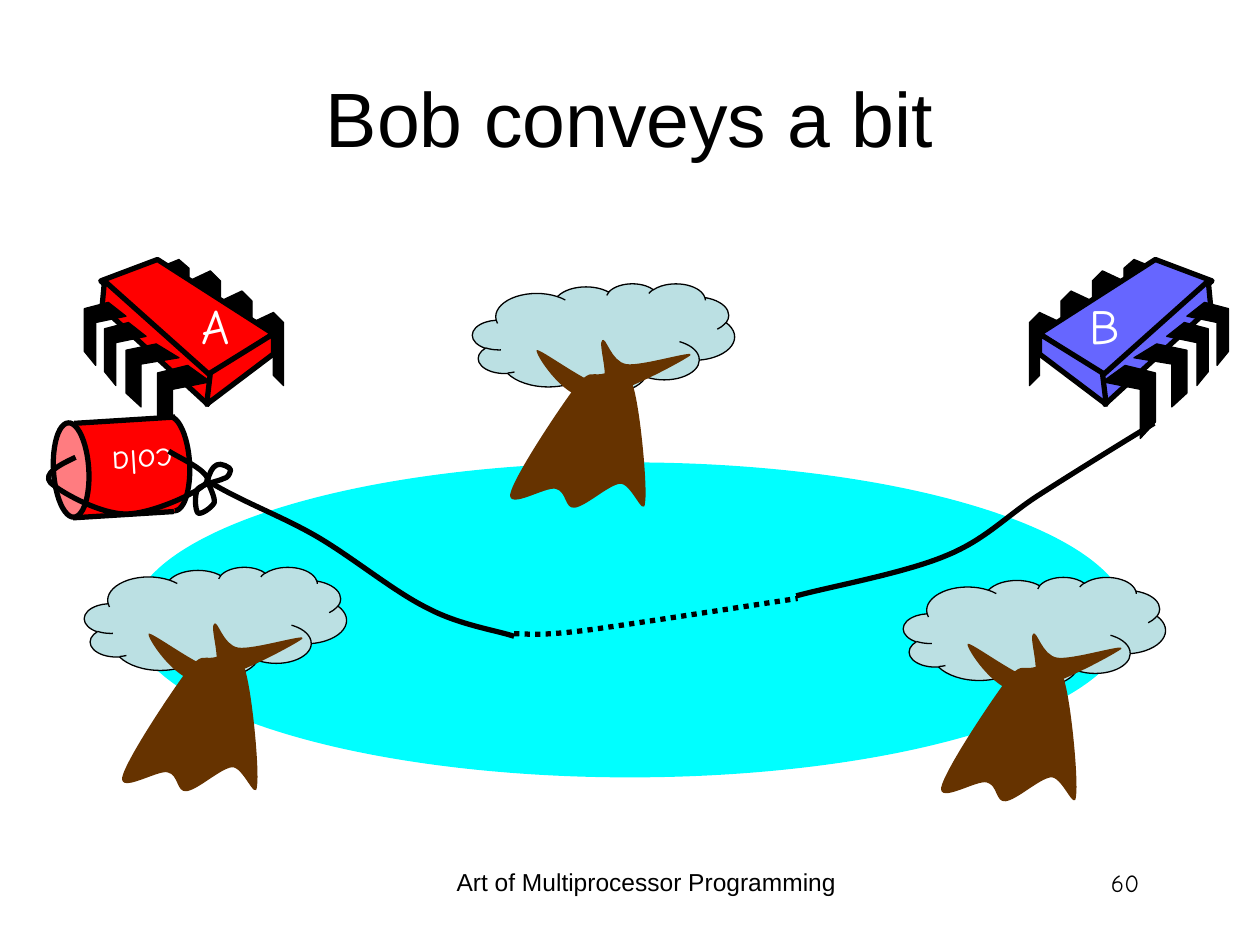
from lxml.etree import SubElement
from pptx import Presentation
from pptx.dml.color import RGBColor
from pptx.enum.dml import MSO_LINE
from pptx.enum.shapes import MSO_CONNECTOR, MSO_SHAPE as Shape
from pptx.enum.text import MSO_ANCHOR, MSO_AUTO_SIZE, PP_ALIGN as Align
from pptx.oxml.ns import qn
from pptx.util import Pt

PX = 9144  # EMU per px, 100 px to the inch
BLACK, WHITE, RED, BROWN = "000000", "FFFFFF", "FF0000", "663300"
THIN, THICK = 0.75, 3

# Chip parts, relative to the box of a chip that faces right
CHIP_W = 158
BACK_LEG = [(0, 8), (17, 0), (25, 8), (25, 58), (17, 50), (17, 17), (0, 25)]
FRONT_LEG = [(24, 0), (42, 13), (12, 19), (12, 58), (0, 45), (0, 6)]
BACK_SPOTS = [(133, 42, 25, 58), (108, 25, 25, 58), (83, 9, 25, 58), (58, 0, 25, 50)]
FRONT_SPOTS = [(58, 84, 42, 58), (33, 67, 42, 50), (16, 50, 33, 50), (0, 34, 33, 50)]
CHIP_FACES = [
    [(58, 0), (150, 59), (98, 93), (13, 17)],
    [(16, 17), (100, 92), (98, 115), (14, 38)],
    [(150, 59), (150, 75), (97, 115), (100, 90)],
]

# Curves: a start point, then two handles and an end point for each piece
TRUNK = [(81, 83), (93, 68), (94, 73), (102, 72), (109, 71), (121, 63), (127, 80),
         (133, 97), (139, 161), (137, 174), (136, 187), (126, 158), (117, 159),
         (108, 160), (90, 177), (81, 178), (73, 179), (75, 165), (66, 163),
         (58, 161), (28, 180), (30, 167), (33, 153), (69, 99), (81, 83)]
BRANCHES = [(51, 53), (49, 55), (71, 90), (91, 91), (112, 92), (168, 61), (173, 57),
            (178, 52), (134, 66), (122, 64), (110, 62), (106, 42), (103, 45),
            (99, 47), (110, 78), (102, 80), (93, 81), (53, 51), (51, 53)]
BOW = [(131, 51), (131, 46), (135, 39), (138, 38), (141, 36), (149, 40), (149, 42),
       (148, 46), (147, 48), (143, 49), (139, 51), (127, 53), (123, 57),
       (120, 62), (121, 74), (123, 76), (125, 78), (134, 72), (136, 68),
       (137, 64), (132, 55), (131, 51)]
LOOP = [(26, 32), (13, 38), (0, 45), (6, 52), (13, 59), (45, 77), (66, 77),
        (86, 77), (124, 60), (130, 52), (136, 44), (105, 31), (100, 27)]
STRING_LEFT = [(0, 47), (27, 63), (55, 73), (83, 89), (111, 105), (145, 133),
               (171, 146), (197, 160), (226, 164), (241, 169)]
STRING_RIGHT = [(749, 0), (734, 9), (687, 38), (659, 56), (632, 73), (616, 92),
                (584, 105), (551, 119), (490, 130), (465, 137)]
STRING_UNDER = [(241, 167), (251, 167), (262, 169), (300, 164), (337, 159),
                (439, 143), (466, 139)]


def rgb(color):
    return RGBColor.from_string(color)


def px(*lengths):
    return [round(length * PX) for length in lengths]


def paint(shape, fill=None, width=None):
    shape.shadow.inherit = False
    if fill:
        shape.fill.solid()
        shape.fill.fore_color.rgb = rgb(fill)
    else:
        shape.fill.background()
    if width:
        shape.line.color.rgb = rgb(BLACK)
        shape.line.width = Pt(width)
    else:
        shape.line.fill.background()
    return shape


def preset(shapes, kind, x, y, w, h, fill, width=None, rotation=0):
    shape = paint(shapes.add_shape(kind, *px(x, y, w, h)), fill, width)
    shape.rotation = rotation
    return shape


def outline(shapes, x, y, points, fill=None, width=None, closed=True):
    builder = shapes.build_freeform(*points[0], scale=PX)
    builder.add_line_segments(points[1:], close=closed)
    return paint(builder.convert_to_shape(*px(x, y)), fill, width)


def curve(shapes, x, y, points, fill=None, width=None):
    shape = outline(shapes, x, y, points, fill, width, closed=points[0] == points[-1])
    # Join every three straight segments into one Bézier piece
    segments = list(shape._element.iter(qn("a:lnTo")))
    for first, second, third in zip(segments[::3], segments[1::3], segments[2::3]):
        piece = first.makeelement(qn("a:cubicBezTo"))
        first.addprevious(piece)
        for segment in (first, second, third):
            piece.append(segment[0])
            segment.getparent().remove(segment)
    return shape


def edge(shapes, *ends):
    line = shapes.add_connector(MSO_CONNECTOR.STRAIGHT, *px(*ends))
    line.line.color.rgb = rgb(BLACK)
    line.line.width = Pt(THICK)
    SubElement(line._element.spPr, qn("a:effectLst"))


def write(frame, text, size, align, name="Arial", color=BLACK):
    paragraph = frame.paragraphs[0]
    paragraph.alignment = align
    run = paragraph.add_run()
    run.text = text
    for attribute, value in {"name": name, "size": Pt(size)}.items():
        setattr(run.font, attribute, value)
    run.font.color.rgb = rgb(color)


def caption(shapes, x, y, w, h, text, size, align, wrap=True, rotation=0, **font):
    box = shapes.add_textbox(*px(x, y, w, h))
    box.rotation = rotation
    box.text_frame.word_wrap = wrap
    if not wrap:
        box.text_frame.auto_size = MSO_AUTO_SIZE.SHAPE_TO_FIT_TEXT
    write(box.text_frame, text, size, align, **font)


def chip(slide, x, y, color, label, label_x, label_w, mirrored=False):
    parts = slide.shapes.add_group_shape().shapes

    def part(points, fill, width):
        if mirrored:
            points = [(CHIP_W - a, b) for a, b in points]
        outline(parts, x, y, points, fill, width)

    def legs(leg, spots):
        full_w, full_h = (max(values) for values in zip(*leg))
        for left, top, w, h in spots:
            part([(left + round(a * w / full_w), top + round(b * h / full_h))
                  for a, b in leg], BLACK, THIN)

    legs(BACK_LEG, BACK_SPOTS)
    for face in CHIP_FACES:
        part(face, color, THICK)
    legs(FRONT_LEG, FRONT_SPOTS)
    caption(slide.shapes, x + label_x, y + 24, label_w, 57, label, 28, Align.RIGHT,
            wrap=False, name="Comic Neue", color=WHITE)


def tree(slide, x, y):
    parts = slide.shapes.add_group_shape().shapes
    crown = preset(parts, Shape.CLOUD_CALLOUT, x, y, 208, 87, "BBE0E3", THIN)
    crown.adjustments[0], crown.adjustments[1] = 0.018, 0.493
    for wood in (TRUNK, BRANCHES):
        curve(parts, x, y, wood, BROWN)


def can(slide, x, y):
    parts = slide.shapes.add_group_shape().shapes
    tilt = 266.5
    preset(parts, Shape.OVAL, x + 65, y + 23, 75, 28, RED, THICK, tilt)
    preset(parts, Shape.RECTANGLE, x + 25, y, 75, 80, RED, None, tilt)
    preset(parts, Shape.OVAL, x - 15, y + 28, 75, 28, "FF7C80", THICK, tilt)
    edge(parts, x + 24, y + 80, x + 104, y + 75)
    edge(parts, x + 25, y + 5, x + 105, y)
    caption(parts, x + 45, y + 16, 71, 43, "cola", 20, Align.RIGHT, wrap=False,
            rotation=tilt - 90, name="Comic Neue", color=WHITE)
    # String tied around the can
    knot = slide.shapes.add_group_shape().shapes
    for strand in (BOW, LOOP):
        curve(knot, x, y, strand, width=THICK)


def string(slide, x, y):
    for strand in (STRING_LEFT, STRING_RIGHT):
        curve(slide.shapes, x, y, strand, width=THICK)
    under = curve(slide.shapes, x, y, STRING_UNDER, width=THICK)
    under.line.dash_style = MSO_LINE.ROUND_DOT


def heading(slide, text, x, y, w, h):
    title = slide.shapes.title
    title.left, title.top, title.width, title.height = px(x, y, w, h)
    title.text_frame.vertical_anchor = MSO_ANCHOR.MIDDLE
    write(title.text_frame, text, 44, Align.CENTER)


def main():
    deck = Presentation()
    deck.slide_width, deck.slide_height = px(1000, 750)
    slide = deck.slides.add_slide(deck.slide_layouts[5])
    heading(slide, "Bob conveys a bit", 50, 30, 900, 125)
    # Scene
    chip(slide, 67, 206, RED, "A", 76, 49)
    chip(slide, 817, 206, "6666FF", "B", 37, 45, mirrored=True)
    preset(slide.shapes, Shape.OVAL, 104, 367, 792, 250, "00FFFF")
    for x, y in [(375, 225), (717, 458), (67, 450)]:
        tree(slide, x, y)
    can(slide, 34, 331)
    string(slide, 167, 336)
    # Footer
    caption(slide.shapes, 342, 683, 342, 52, "Art of Multiprocessor Programming", 14,
            Align.CENTER)
    caption(slide.shapes, 706, 684, 208, 50, "60", 14, Align.RIGHT, name="Comic Neue")
    deck.save("out.pptx")


if __name__ == "__main__":
    main()
